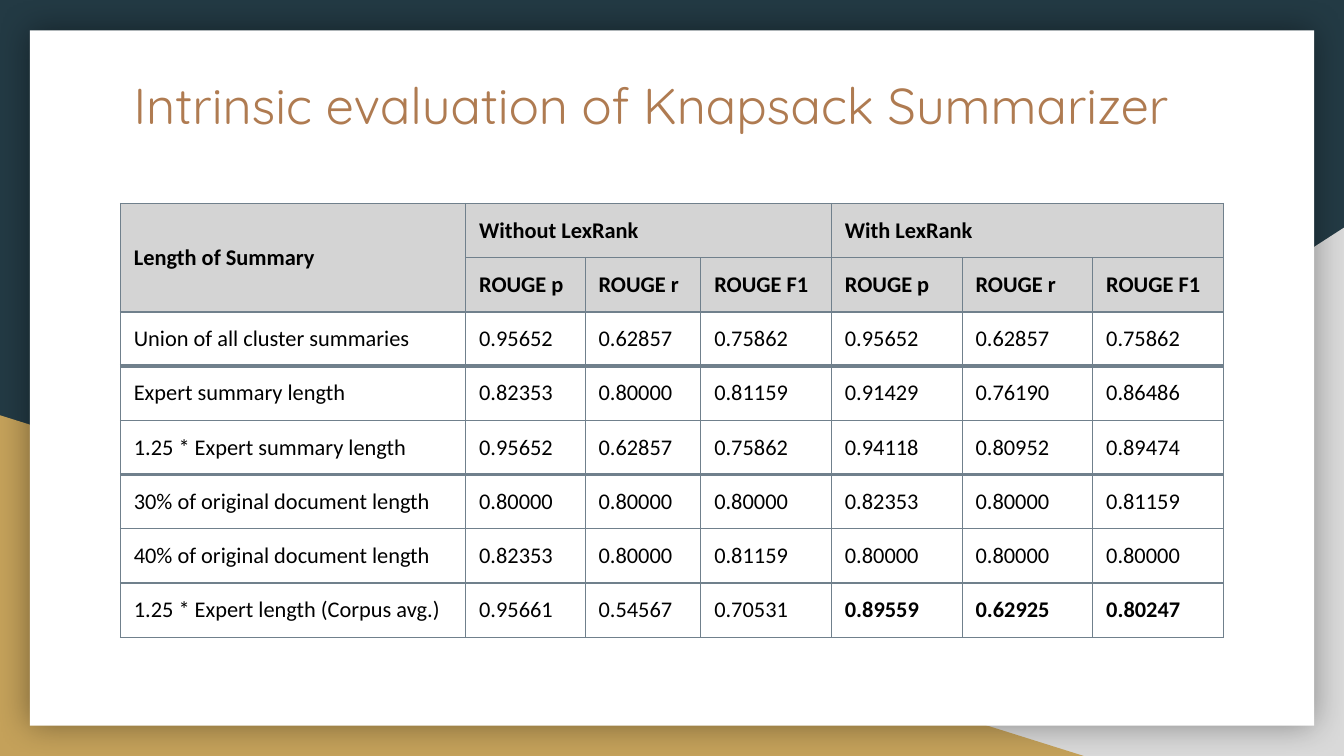
from lxml import etree
from pptx import Presentation
from pptx.dml.color import RGBColor
from pptx.enum.shapes import MSO_SHAPE
from pptx.enum.text import MSO_ANCHOR
from pptx.oxml import parse_xml
from pptx.oxml.ns import nsdecls, qn
from pptx.util import Pt

RECT = MSO_SHAPE.RECTANGLE
TRIANGLE = MSO_SHAPE.RIGHT_TRIANGLE
TOP, MIDDLE, BOTTOM = MSO_ANCHOR.TOP, MSO_ANCHOR.MIDDLE, MSO_ANCHOR.BOTTOM

COLORS = {
    "navy": "233A44",
    "gray": "D9D9D9",
    "gold": "C4A15A",
    "white": "FFFFFF",
    "header": "D4D4D4",
    "border": "70808C",
    "text": "000000",
    "title": "AF7B51",
}

COLUMNS = [185, 64, 62, 70, 70, 70, 70]
ROW_HEIGHT = 28.95
HEADER_ROWS = 2
METRICS = ["ROUGE p", "ROUGE r", "ROUGE F1"]
ROWS = [
    ["Length of Summary", "Without LexRank", "", "", "With LexRank", "", ""],
    [""] + METRICS * 2,
    ["Union of all cluster summaries", "0.95652", "0.62857", "0.75862", "0.95652", "0.62857", "0.75862"],
    ["Expert summary length", "0.82353", "0.80000", "0.81159", "0.91429", "0.76190", "0.86486"],
    ["1.25 * Expert summary length", "0.95652", "0.62857", "0.75862", "0.94118", "0.80952", "0.89474"],
    ["30% of original document length", "0.80000", "0.80000", "0.80000", "0.82353", "0.80000", "0.81159"],
    ["40% of original document length", "0.82353", "0.80000", "0.81159", "0.80000", "0.80000", "0.80000"],
    ["1.25 * Expert length (Corpus avg.)", "0.95661", "0.54567", "0.70531", "0.89559", "0.62925", "0.80247"],
]
MERGES = [(0, 0, 1, 0), (0, 1, 0, 3), (0, 4, 0, 6)]
THICK_BELOW = {2, 4}
BEST = {(len(ROWS) - 1, c) for c in (4, 5, 6)}


class SlideBuilder:
    title_font = "Quicksand"
    body_font = "Calibri"
    inset = 7.2

    def __init__(self, prs):
        self.s = prs.slides.add_slide(prs.slide_layouts[6])

    def color(self, name):
        return RGBColor.from_string(COLORS[name])

    def background(self, color):
        fill = self.s.background.fill
        fill.solid()
        fill.fore_color.rgb = self.color(color)

    def shape(self, kind, x, y, w, h, color, flip=False):
        sp = self.s.shapes.add_shape(kind, Pt(x), Pt(y), Pt(w), Pt(h))
        sp.shadow.inherit = False
        sp.fill.solid()
        sp.fill.fore_color.rgb = self.color(color)
        sp.line.fill.background()
        if flip:
            sp.element.spPr.find(qn("a:xfrm")).set("flipH", "1")
        return sp

    def glow_shadow(self, sp, blur, opacity):
        effects = sp.element.spPr.find(qn("a:effectLst"))
        shadow = etree.SubElement(effects, qn("a:outerShdw"), blurRad=str(Pt(blur)),
                                  dist="0", dir="0", algn="ctr", rotWithShape="0")
        clr = etree.SubElement(shadow, qn("a:srgbClr"), val=COLORS["text"])
        etree.SubElement(clr, qn("a:alpha"), val=str(opacity * 1000))

    def set_insets(self, box):
        box.margin_left = box.margin_right = Pt(self.inset)
        box.margin_top = box.margin_bottom = Pt(self.inset)

    def style_text(self, tf, font, size, color, bold=False):
        for p in tf.paragraphs:
            for r in p.runs:
                r.font.name = font
                r.font.size = Pt(size)
                r.font.bold = bold
                r.font.color.rgb = self.color(color)

    def title(self, text, x, y, w, h):
        tf = self.s.shapes.add_textbox(Pt(x), Pt(y), Pt(w), Pt(h)).text_frame
        tf.word_wrap = True
        tf.vertical_anchor = TOP
        self.set_insets(tf)
        tf.text = text
        self.style_text(tf, self.title_font, 27, "title")

    def borders(self, cell, top, bottom):
        tc_pr = cell._tc.get_or_add_tcPr()
        for side, width in (("L", 0.75), ("R", 0.75), ("T", top), ("B", bottom)):
            tc_pr.append(parse_xml(
                f'<a:ln{side} {nsdecls("a")} w="{Pt(width)}"><a:solidFill>'
                f'<a:srgbClr val="{COLORS["border"]}"/></a:solidFill></a:ln{side}>'))

    def cell(self, cell, text, row, col):
        header = row < HEADER_ROWS
        cell.text = text
        self.set_insets(cell)
        cell.vertical_anchor = MIDDLE if (row, col) == (0, 0) else BOTTOM
        self.style_text(cell.text_frame, self.body_font, 12, "text",
                        header or (row, col) in BEST)
        self.borders(cell, 2.25 if row - 1 in THICK_BELOW else 0.75,
                     2.25 if row in THICK_BELOW else 0.75)
        if header:
            cell.fill.solid()
            cell.fill.fore_color.rgb = self.color("header")
        else:
            cell.fill.background()

    def table(self, rows, x, y, widths, row_height, merges):
        frame = self.s.shapes.add_table(len(rows), len(widths), Pt(x), Pt(y),
                                        Pt(sum(widths)), Pt(row_height * len(rows)))
        table = frame.table
        for column, width in zip(table.columns, widths):
            column.width = Pt(width)
        for r, values in enumerate(rows):
            table.rows[r].height = Pt(row_height)
            for c, text in enumerate(values):
                self.cell(table.cell(r, c), text, r, c)
        for top, left, bottom, right in merges:
            table.cell(top, left).merge(table.cell(bottom, right))


def main():
    prs = Presentation()
    prs.slide_width, prs.slide_height = Pt(720), Pt(405)
    s = SlideBuilder(prs)
    s.background("navy")
    s.shape(TRIANGLE, 282, 122, 438, 283, "gray", flip=True)
    s.shape(TRIANGLE, 0, 222.5, 580.5, 182.5, "gold")
    card = s.shape(RECT, 16, 16.25, 688, 372.5, "white")
    s.glow_shadow(card, 18, 40)
    s.table(ROWS, 64.5, 109, COLUMNS, ROW_HEIGHT, MERGES)
    s.title("Intrinsic evaluation of Knapsack Summarizer", 64.5, 32.5, 591, 52)
    prs.save("out.pptx")


if __name__ == "__main__":
    main()
